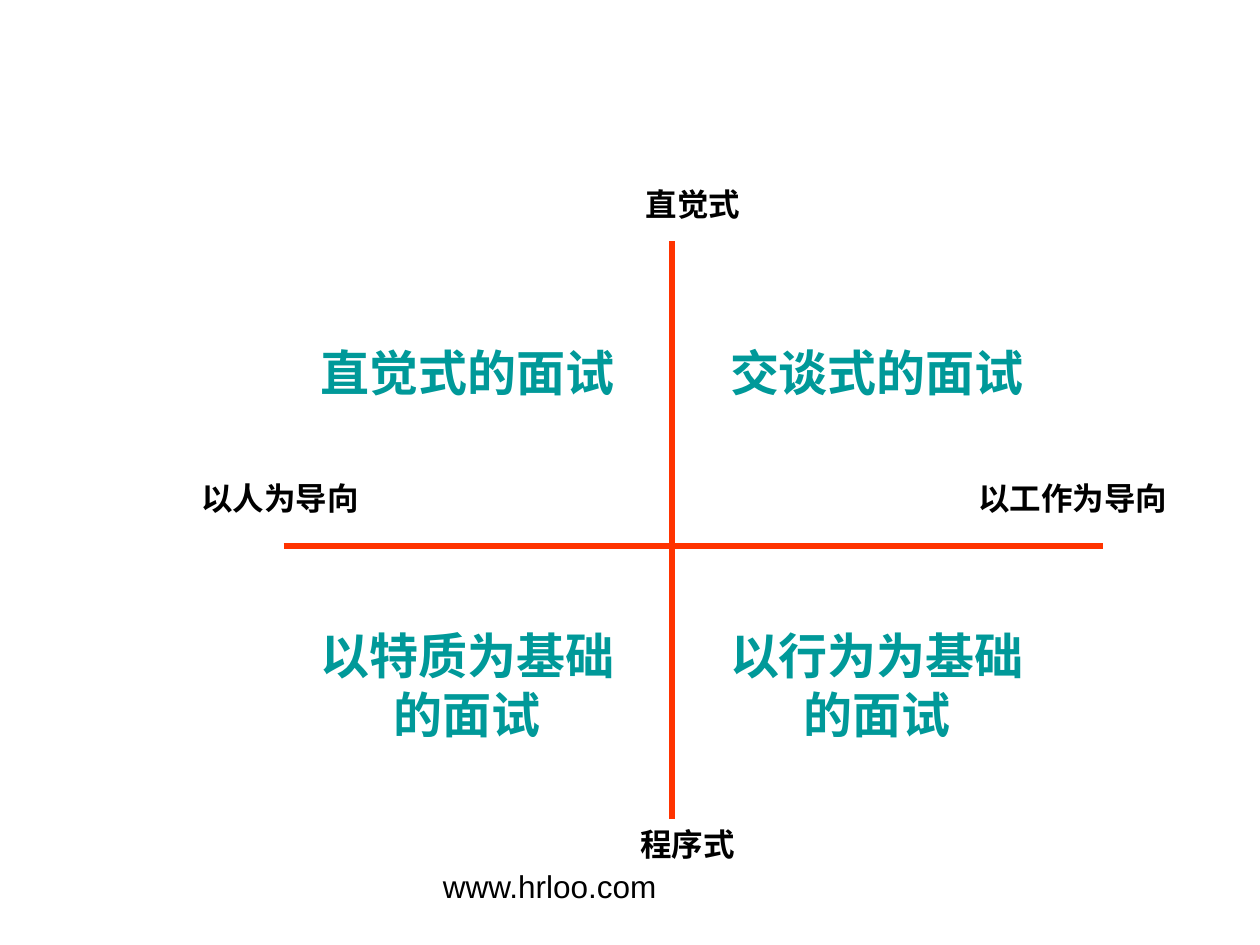
from dataclasses import dataclass

from lxml.etree import SubElement
from pptx import Presentation
from pptx.dml.color import RGBColor
from pptx.enum.shapes import MSO_CONNECTOR
from pptx.enum.text import MSO_AUTO_SIZE, PP_ALIGN
from pptx.oxml.ns import qn
from pptx.util import Inches, Pt


@dataclass(frozen=True)
class Theme:
    font: str = "Arial"
    ink: RGBColor = RGBColor(0x00, 0x00, 0x00)
    teal: RGBColor = RGBColor(0x00, 0x99, 0x99)
    red: RGBColor = RGBColor(0xFF, 0x33, 0x00)
    label: int = 18
    quad: int = 28
    rule: int = 3


THEME = Theme()
MID_X, MID_Y = 64, 52
LEFT, RIGHT = PP_ALIGN.LEFT, PP_ALIGN.CENTER


def grid(*cells):
    """Turn grid cells, twelve to the inch, into lengths."""
    return [Inches(cell / 12) for cell in cells]


def add_text(slide, text, box, size, color, bold=True, align=PP_ALIGN.CENTER):
    frame = slide.shapes.add_textbox(*grid(*box)).text_frame
    frame.word_wrap = True
    frame.auto_size = MSO_AUTO_SIZE.SHAPE_TO_FIT_TEXT if bold else MSO_AUTO_SIZE.NONE
    frame.text = text
    line = frame.paragraphs[0]
    line.alignment = align
    font = line.runs[0].font
    font.name, font.size, font.bold = THEME.font, Pt(size), bold
    font.color.rgb = color


def add_axis(slide, start, end):
    axis = slide.shapes.add_connector(MSO_CONNECTOR.STRAIGHT, *grid(*start, *end))
    axis.line.color.rgb = THEME.red
    axis.line.width = Pt(THEME.rule)
    SubElement(axis._element.spPr, qn("a:effectLst"))


def add_label(slide, text, box, align=PP_ALIGN.CENTER):
    add_text(slide, text, box, THEME.label, THEME.ink, align=align)


def add_quads(slide, rows):
    """Place one phrase in each quarter; rows hold top, height and phrases."""
    for top, height, phrases in rows:
        for left, phrase in zip((28, 67), phrases):
            add_text(slide, phrase, (left, top, 33, height), THEME.quad, THEME.teal)


def main():
    deck = Presentation()
    deck.slide_width, deck.slide_height = grid(120, 90)
    slide = deck.slides.add_slide(deck.slide_layouts[6])

    add_text(slide, "www.hrloo.com", (41, 82, 38, 6.2), THEME.label, THEME.ink,
             bold=False, align=PP_ALIGN.LEFT)
    add_axis(slide, (MID_X, 23), (MID_X, 78))
    add_axis(slide, (27, MID_Y), (105, MID_Y))

    add_label(slide, "以人为导向", (18, 45, 23, 4.8), PP_ALIGN.LEFT)
    add_label(slide, "以工作为导向", (92, 45, 23, 4.8), PP_ALIGN.LEFT)
    add_label(slide, "直觉式", (51, 17, 30, 4.8))
    add_label(slide, "程序式", (51, 78, 29, 4.8))

    add_quads(slide, (
        (32, 6.8, ("直觉式的面试", "交谈式的面试")),
        (59, 12.5, ("以特质为基础的面试", "以行为为基础的面试")),
    ))
    deck.save("out.pptx")


if __name__ == "__main__":
    main()
